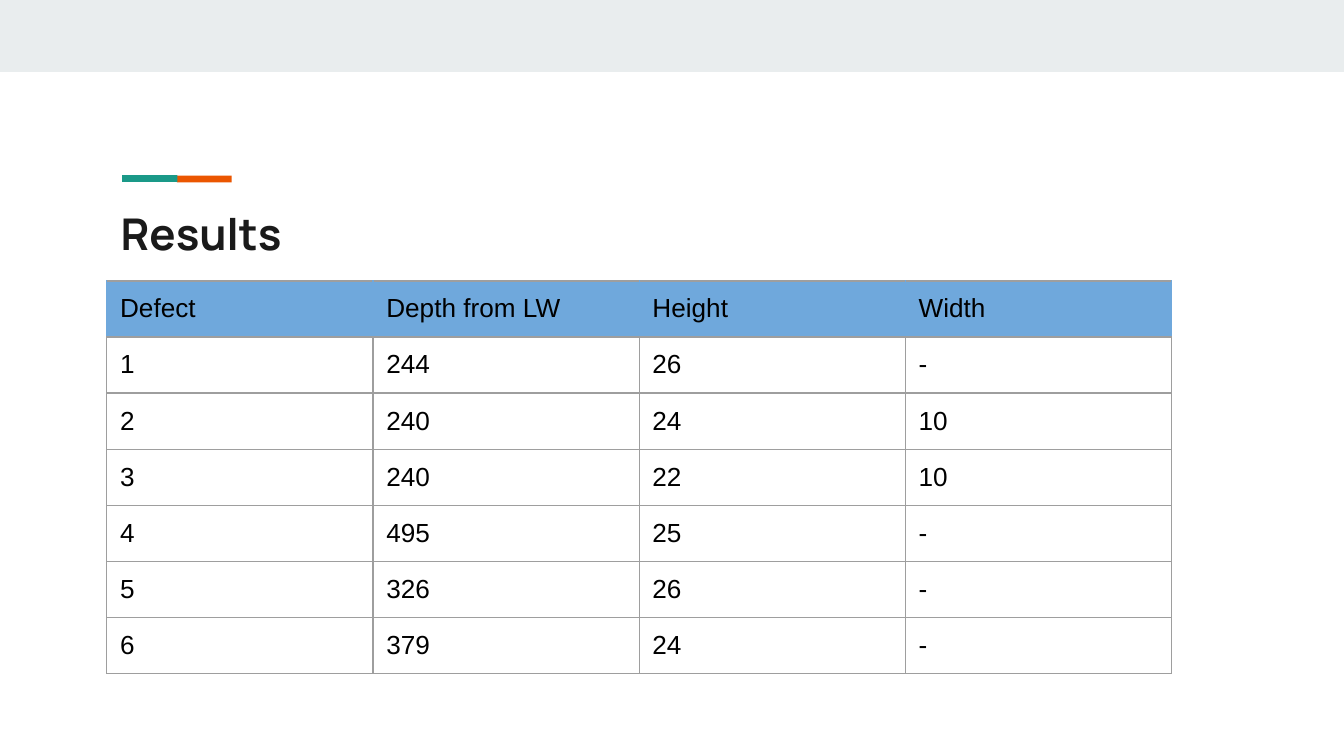
import pptx
import pptx.dml.color
import pptx.enum.shapes
import pptx.enum.text
import pptx.util
from pptx.oxml.ns import qn
from lxml import etree

Cm = pptx.util.Cm
Pt = pptx.util.Pt
RGB = pptx.dml.color.RGBColor.from_string

TITLE = "Results"
ROWS = [
    ("Defect", "Depth from LW", "Height", "Width"),
    ("1", "244", "26", "-"),
    ("2", "240", "24", "10"),
    ("3", "240", "22", "10"),
    ("4", "495", "25", "-"),
    ("5", "326", "26", "-"),
    ("6", "379", "24", "-"),
]

THEME = {
    "band": "E9EDEE", "green": "1A9988", "orange": "EB5600",
    "title": "1A1A1A", "text": "000000", "header": "6FA8DC", "border": "9E9E9E",
    "title_font": "Manrope", "body_font": "Arial",
    "title_size": 23.4, "body_size": 14, "border_width": 0.75,
}

SLIDE_W, SLIDE_H = 25.4, 14.29
TITLE_BOX = (2.03, 3.66, 21.36, 1.5)
TABLE_LEFT, TABLE_TOP = 2.02, 5.31
COL_W, ROW_H = 5.03, 1.06
INSET = 0.25

# left, top, width, height, colour
BAND = (0, 0, SLIDE_W, 1.36, "band")
# Upright bars, turned to lie end to end, in the accent group's own units
ACCENT_BARS = [
    (2.18, -0.7, 0.07, 1.48, "orange"),
    (0.71, -0.71, 0.07, 1.49, "green"),
]
ACCENT_BOX = (2.31, 3.31, 2.07, 0.13)
ACCENT_UNITS = (2.96, 0.07)


def add_bar(shapes, left, top, width, height, colour):
    sp = shapes.add_shape(pptx.enum.shapes.MSO_SHAPE.RECTANGLE,
                          Cm(left), Cm(top), Cm(width), Cm(height))
    sp.shadow.inherit = False
    sp.fill.solid()
    sp.fill.fore_color.rgb = RGB(THEME[colour])
    sp.line.fill.background()
    return sp


def place(sp, left, top, width, height):
    sp.left, sp.top, sp.width, sp.height = Cm(left), Cm(top), Cm(width), Cm(height)


def add_accent(s):
    """Add the two-colour rule, scaled from its group units to its box."""
    group = s.shapes.add_group_shape()
    for bar in ACCENT_BARS:
        add_bar(group.shapes, *bar).rotation = 270
    place(group, *ACCENT_BOX)
    xfrm = group._element.grpSpPr.find(qn("a:xfrm"))
    offset, extent = xfrm.find(qn("a:chOff")), xfrm.find(qn("a:chExt"))
    for name in ("x", "y"):
        offset.set(name, "0")
    for name, size in zip(("cx", "cy"), ACCENT_UNITS):
        extent.set(name, str(int(Cm(size))))


def set_insets(box):
    """Give a text frame or a table cell the same inset on all sides."""
    box.margin_left = box.margin_right = Cm(INSET)
    box.margin_top = box.margin_bottom = Cm(INSET)


def style_font(p, face, size, colour, bold=False):
    p.font.name = THEME[face]
    p.font.size = Pt(THEME[size])
    p.font.color.rgb = RGB(THEME[colour])
    p.font.bold = bold


def set_borders(cell, sides):
    """Draw the cell's edges; sides maps each edge tag to a theme colour."""
    tc_pr = cell._tc.get_or_add_tcPr()
    for i, (tag, colour) in enumerate(sides.items()):
        ln = etree.Element(qn(tag), w=str(int(Pt(THEME["border_width"]))))
        fill = etree.SubElement(ln, qn("a:solidFill"))
        etree.SubElement(fill, qn("a:srgbClr"), val=THEME[colour])
        tc_pr.insert(i, ln)


def add_title(s):
    sp = s.shapes.title
    place(sp, *TITLE_BOX)
    tf = sp.text_frame
    tf.text = TITLE
    tf.word_wrap = True
    tf.auto_size = pptx.enum.text.MSO_AUTO_SIZE.NONE
    tf.vertical_anchor = pptx.enum.text.MSO_ANCHOR.MIDDLE
    set_insets(tf)
    p = tf.paragraphs[0]
    p.alignment = pptx.enum.text.PP_ALIGN.LEFT
    style_font(p, "title_font", "title_size", "title", bold=True)


def add_results_table(s):
    n_rows, n_cols = len(ROWS), len(ROWS[0])
    table = s.shapes.add_table(n_rows, n_cols, Cm(TABLE_LEFT), Cm(TABLE_TOP),
                               Cm(COL_W * n_cols), Cm(ROW_H * n_rows)).table
    table.first_row = table.horz_banding = False
    for column in table.columns:
        column.width = Cm(COL_W)
    for r, values in enumerate(ROWS):
        table.rows[r].height = Cm(ROW_H)
        side = "header" if r == 0 else "border"
        for c, value in enumerate(values):
            cell = table.cell(r, c)
            cell.text = value
            set_insets(cell)
            style_font(cell.text_frame.paragraphs[0], "body_font", "body_size", "text")
            if r == 0:
                cell.fill.solid()
                cell.fill.fore_color.rgb = RGB(THEME["header"])
            else:
                cell.fill.background()
            set_borders(cell, {"a:lnL": side, "a:lnR": side,
                               "a:lnT": "border", "a:lnB": "border"})


def main():
    prs = pptx.Presentation()
    prs.slide_width, prs.slide_height = Cm(SLIDE_W), Cm(SLIDE_H)
    s = prs.slides.add_slide(prs.slide_layouts[5])
    add_bar(s.shapes, *BAND)
    add_accent(s)
    add_title(s)
    add_results_table(s)
    prs.save("out.pptx")


if __name__ == "__main__":
    main()
